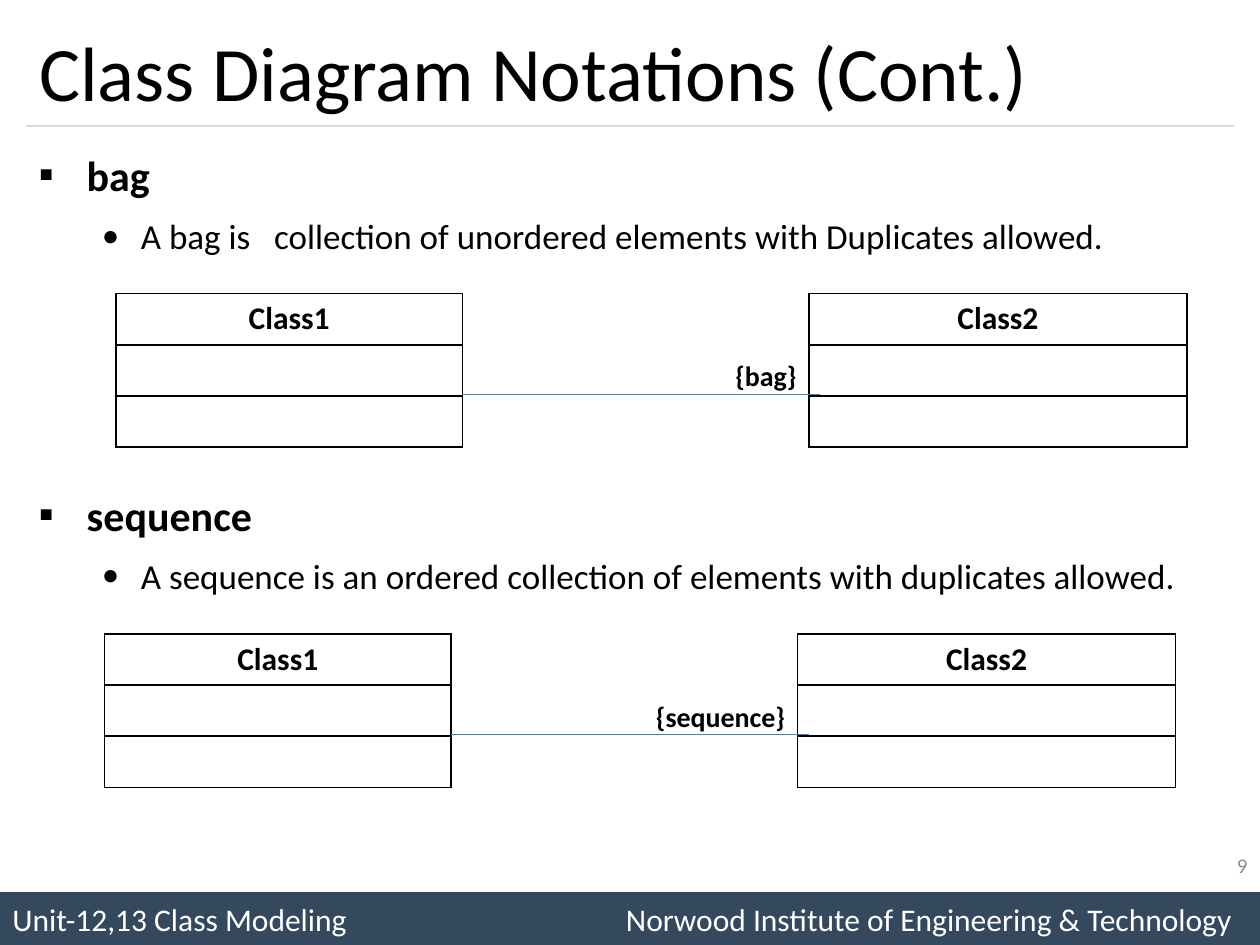
"""Build a class diagram slide showing the bag and sequence constraints."""
from lxml import etree
from pptx import Presentation
from pptx.dml.color import RGBColor
from pptx.enum.shapes import MSO_CONNECTOR, MSO_SHAPE
from pptx.enum.text import MSO_ANCHOR, PP_ALIGN
from pptx.oxml import parse_xml
from pptx.oxml.ns import qn
from pptx.util import Inches, Pt

STRAIGHT, RECTANGLE = MSO_CONNECTOR.STRAIGHT, MSO_SHAPE.RECTANGLE
LEFT, CENTER, RIGHT, JUSTIFY = PP_ALIGN.LEFT, PP_ALIGN.CENTER, PP_ALIGN.RIGHT, PP_ALIGN.JUSTIFY
MIDDLE = MSO_ANCHOR.MIDDLE
DRAWING_NS = "http://schemas.openxmlformats.org/drawingml/2006/main"
BLACK = "000000"


def write(paragraph, text, size, color=BLACK, bold=False, align=LEFT):
    paragraph.text = text
    paragraph.alignment = align
    font = paragraph.font
    font.name, font.size, font.bold = "Calibri", Pt(size), bold
    font.color.rgb = RGBColor.from_string(color)


def add_line(x1, x2, y, color):
    line = slide.shapes.add_connector(STRAIGHT, Inches(x1), Inches(y), Inches(x2), Inches(y))
    line.line.color.rgb = RGBColor.from_string(color)
    line.line.width = Pt(0.75)
    etree.SubElement(line._element.spPr, qn("a:effectLst"))


prs = Presentation()
prs.slide_width, prs.slide_height = Inches(10), Inches(7.5)
slide = prs.slides.add_slide(prs.slide_layouts[5])

footer = slide.shapes.add_shape(RECTANGLE, 0, Inches(7.08), Inches(10), Inches(0.42))
footer.shadow.inherit = False
footer.fill.solid()
footer.fill.fore_color.rgb = RGBColor.from_string("34495E")
footer.line.fill.background()
footer.text_frame.vertical_anchor = MIDDLE
footer_text = footer.text_frame.paragraphs[0]
write(footer_text, "Unit-12,13 Class Modeling\tNorwood Institute of Engineering & Technology", 18, "FFFFFF")
tabs = etree.Element(qn("a:tabLst"))
etree.SubElement(tabs, qn("a:tab"), pos=str(Inches(9.68)), algn="r")
footer_text._p.pPr.insert(0, tabs)

add_line(0.21, 9.79, 1, "D9D9D9")

title = slide.shapes.title
title.left, title.top, title.width, title.height = Inches(0.21), Inches(0.12), Inches(9.58), Inches(0.88)
title.text_frame.vertical_anchor = MIDDLE
write(title.text_frame.paragraphs[0], "Class Diagram Notations (Cont.)", 44)

body = slide.shapes.add_textbox(Inches(0.21), Inches(1.08), Inches(9.58), Inches(5.83)).text_frame
body.word_wrap = True
bullets = [
    ("bag", 0, 5),
    ("A bag is   collection of unordered elements with Duplicates allowed.", 1, 5),
    ("sequence", 0, 129),
    ("A sequence is an ordered collection of elements with duplicates allowed.", 1, 5),
]
for index, (text, level, space_before) in enumerate(bullets):
    item = body.add_paragraph() if index else body.paragraphs[0]
    write(item, text, (24, 20)[level], bold=level == 0, align=JUSTIFY)
    item.level = level
    item.line_spacing = 1.14
    item.space_before = Pt(space_before)
    properties = item._p.pPr
    properties.set("marL", str(Inches((0.38, 0.81)[level])))
    properties.set("indent", str(Inches((-0.38, -0.31)[level])))
    text_defaults = properties.find(qn("a:defRPr"))
    text_defaults.addprevious(etree.Element(qn("a:buFont"), typeface="Calibri"))
    text_defaults.addprevious(etree.Element(qn("a:buChar"), char="▪•"[level]))

page = slide.shapes.add_textbox(Inches(7.67), Inches(6.67), Inches(2.33), Inches(0.4)).text_frame
page.vertical_anchor = MIDDLE
page.word_wrap = True
write(page.paragraphs[0], "9", 12, "8C8C8C", align=RIGHT)

for constraint, left, top in [("{sequence}", 0.83, 5.03), ("{bag}", 0.92, 2.33)]:
    for class_name, offset, width in [("Class1", 0, 2.75), ("Class2", 5.5, 3)]:
        class_box = slide.shapes.add_table(
            3, 1, Inches(left + offset), Inches(top), Inches(width), Inches(1.22)).table
        class_box.first_row = class_box.horz_banding = False
        for cell, text in zip(class_box.iter_cells(), (class_name, "", "")):
            write(cell.text_frame.paragraphs[0], text, 18, bold=True, align=CENTER)
            cell.fill.background()
            for position, side in enumerate("LRTB"):
                cell._tc.tcPr.insert(position, parse_xml(
                    f'<a:ln{side} xmlns:a="{DRAWING_NS}" w="{Pt(1)}"><a:solidFill>'
                    f'<a:srgbClr val="{BLACK}"/></a:solidFill></a:ln{side}>'))
    add_line(left + 2.75, left + 5.59, top + 0.8, "4B7EBC")
    label = slide.shapes.add_textbox(
        Inches(left + 4.17), Inches(top + 0.47), Inches(1.33), Inches(0.37)).text_frame
    label.word_wrap = True
    write(label.paragraphs[0], constraint, 16, bold=True, align=RIGHT)

prs.save("out.pptx")
